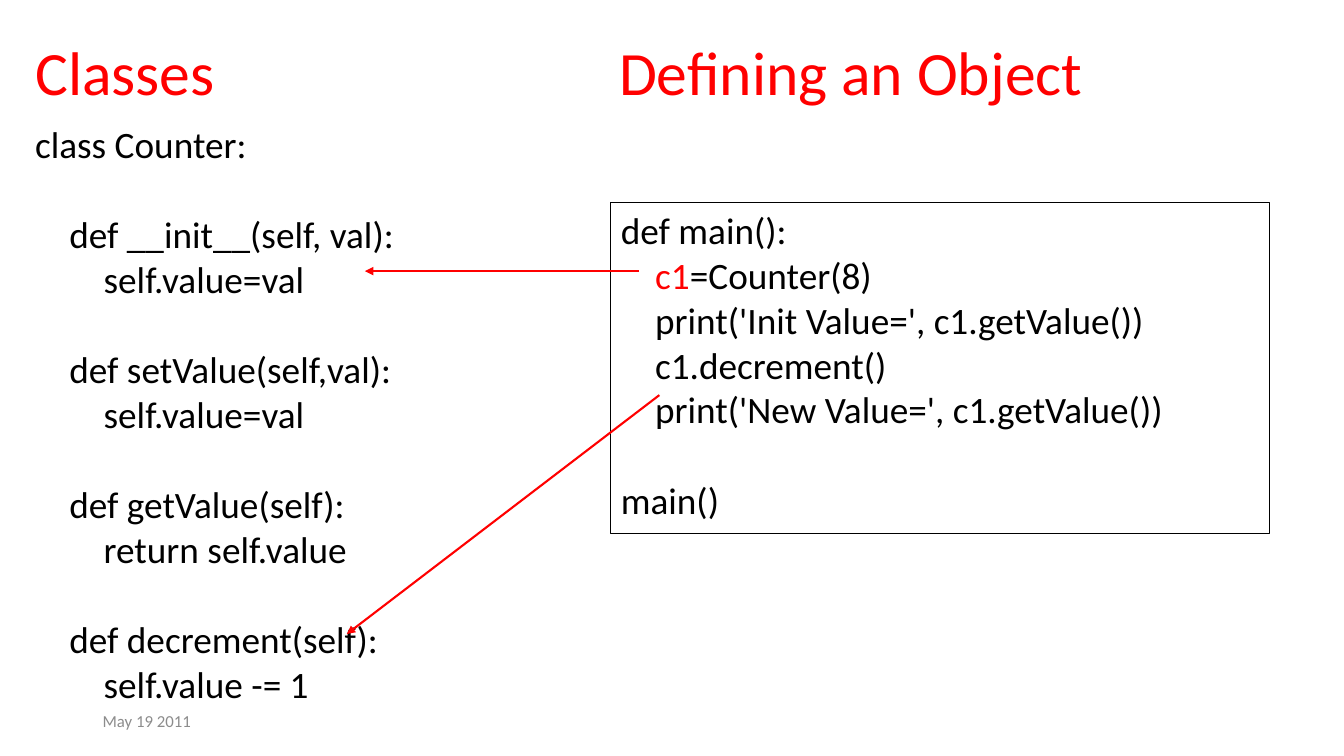
from lxml import etree
from pptx import Presentation
from pptx.dml.color import RGBColor
from pptx.enum import shapes, text
from pptx.oxml import ns
from pptx.util import Inches, Pt

COLORS = {"accent": "FF0000", "ink": "000000", "date": "8C8C8C"}
FONT = "Calibri"
CODE_SIZE = 26.67
LINE_PITCH = 32.5
INDENT = 0.34

COUNTER_CLASS = """class Counter:

    def __init__(self, val):
        self.value=val

    def setValue(self,val):
        self.value=val

    def getValue(self):
        return self.value

    def decrement(self):
        self.value -= 1"""

MAIN_PROGRAM = """def main():
    c1=Counter(8)
    print('Init Value=', c1.getValue())
    c1.decrement()
    print('New Value=', c1.getValue())

main()"""


def color(name):
    return RGBColor.from_string(COLORS[name])


def format_runs(paragraph, size, color_name):
    for run in paragraph.runs:
        run.font.name = FONT
        run.font.size = Pt(size)
        run.font.color.rgb = color(color_name)


def add_headings(slide, box):
    left, top, width, height = box
    headings = slide.shapes.title
    headings.left, headings.top = Inches(left), Inches(top)
    headings.width, headings.height = Inches(width), Inches(height)
    frame = headings.text_frame
    frame.text = "Classes\tDefining an Object"
    frame.vertical_anchor = text.MSO_ANCHOR.MIDDLE
    frame.auto_size = text.MSO_AUTO_SIZE.NONE
    line = frame.paragraphs[0]
    line.alignment = text.PP_ALIGN.LEFT
    line.line_spacing = 0.9
    format_runs(line, 44, "accent")
    tabs = etree.SubElement(line._p.get_or_add_pPr(), ns.qn("a:tabLst"))
    etree.SubElement(tabs, ns.qn("a:tab"), pos=str(Inches(5.79)), algn="l")


def add_date(slide, box):
    date = slide.shapes.add_textbox(*map(Inches, box))
    frame = date.text_frame
    frame.word_wrap = True
    frame.vertical_anchor = text.MSO_ANCHOR.MIDDLE
    frame.text = "May 19 2011"
    format_runs(frame.paragraphs[0], 12, "date")


def fill_code(frame, code):
    frame.word_wrap = True
    frame.vertical_anchor = text.MSO_ANCHOR.TOP
    paragraph = frame.paragraphs[0]
    after_gap = False
    for number, line in enumerate(code.splitlines()):
        if not line:
            after_gap = True
            continue
        if number:
            paragraph = frame.add_paragraph()
        statement = line.lstrip()
        paragraph.text = statement
        paragraph.alignment = text.PP_ALIGN.LEFT
        level = (len(line) - len(statement)) // 4
        paragraph._p.get_or_add_pPr().set("marL", str(Inches(level * INDENT)))
        if after_gap:
            paragraph.space_before = Pt(LINE_PITCH)
        after_gap = False
        format_runs(paragraph, CODE_SIZE, "ink")


def add_class_code(slide, box):
    class_code = slide.shapes.add_textbox(*map(Inches, box))
    fill_code(class_code.text_frame, COUNTER_CLASS)


def add_main_code(slide, box):
    main_code = slide.shapes.add_shape(
        shapes.MSO_SHAPE.RECTANGLE, *map(Inches, box))
    main_code.shadow.inherit = False
    main_code.fill.background()
    main_code.line.color.rgb = color("ink")
    main_code.line.width = Pt(0.75)
    fill_code(main_code.text_frame, MAIN_PROGRAM)
    creation = main_code.text_frame.paragraphs[1]
    call = creation.text.removeprefix("c1")
    creation.runs[0].text = "c1"
    creation.add_run().text = call
    format_runs(creation, CODE_SIZE, "ink")
    creation.runs[0].font.color.rgb = color("accent")


def add_call_arrow(slide, start, end):
    arrow = slide.shapes.add_connector(
        shapes.MSO_CONNECTOR.STRAIGHT, *map(Inches, start + end))
    arrow.line.color.rgb = color("accent")
    arrow.line.width = Pt(1.5)
    etree.SubElement(arrow.line._get_or_add_ln(), ns.qn("a:tailEnd"),
                     type="triangle")
    etree.SubElement(arrow._element.spPr, ns.qn("a:effectLst"))


def build_classes_slide(deck):
    slide = deck.slides.add_slide(deck.slide_layouts[5])
    add_date(slide, (0.92, 6.95, 3, 0.4))
    add_headings(slide, (0.25, 0.02, 11.5, 1.45))
    add_class_code(slide, (0.25, 1.15, 4.47, 6.01))
    add_main_code(slide, (6.06, 2.01, 6.53, 3.28))
    add_call_arrow(slide, (6.34, 2.69), (3.62, 2.69))
    add_call_arrow(slide, (6.54, 3.92), (3.44, 6.29))


def main():
    deck = Presentation()
    deck.slide_width, deck.slide_height = Inches(13.33), Inches(7.5)
    build_classes_slide(deck)
    deck.save("out.pptx")


if __name__ == "__main__":
    main()
